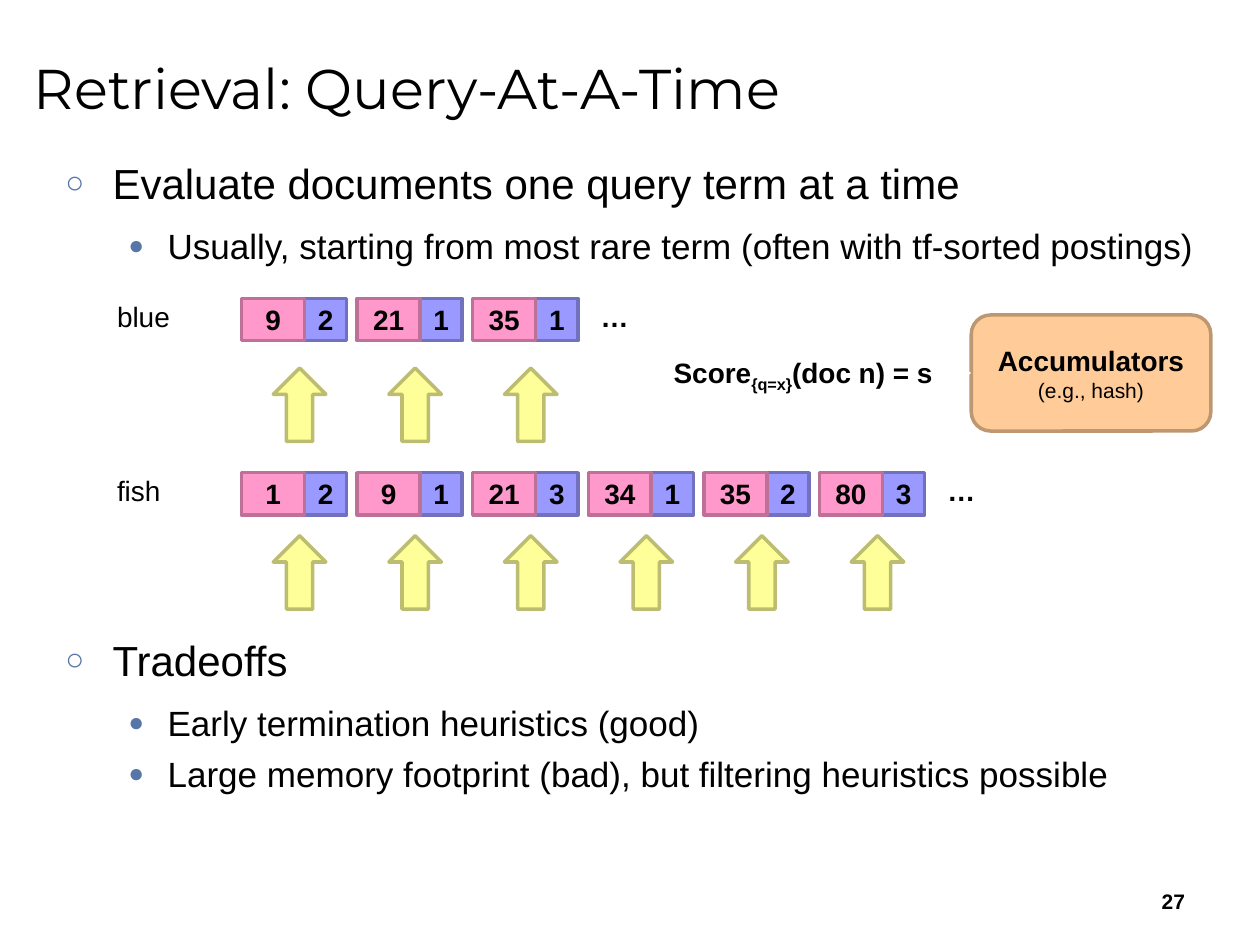
from lxml import etree
from pptx import Presentation
from pptx.dml.color import RGBColor
from pptx.enum import shapes, text
from pptx.oxml.ns import qn
from pptx.util import Cm, Pt

# Content
TITLE = "Retrieval: Query-At-A-Time"
BULLETS = [  # top in cm, then (level, wording)
    (3.05, [(0, "Evaluate documents one query term at a time"),
            (1, "Usually, starting from most rare term (often with tf-sorted postings)")]),
    (12.67, [(0, "Tradeoffs"),
             (1, "Early termination heuristics (good)"),
             (1, "Large memory footprint (bad), but filtering heuristics possible")]),
]
POSTINGS = [  # term, row top, arrow top, (document, frequency)
    ("fish", 9.53, 10.8, [(1, 2), (9, 1), (21, 3), (34, 1), (35, 2), (80, 3)]),
    ("blue", 6.02, 7.42, [(9, 2), (21, 1), (35, 1)]),
]
SCORE = [("Score", None), ("{q=x}", -25000), ("(doc n) = s", None)]
PAGE = "27"

# Style
COLORS = {"text": "000000", "bullet": "5675A9", "connector": "FFFFFF",
          "document": "FF99CC", "document line": "BD7197",
          "frequency": "9999FF", "frequency line": "7171BD",
          "arrow": "FFFF99", "arrow line": "BDBD71",
          "accumulators": "FFCC99", "accumulators line": "BD9771"}
LEVELS = [  # bullet, size, margin, hanging indent, space before, space after
    ("○", 24, 0.95, 0.95, 0, 7),
    ("●", 20, 2.06, 0.79, 2.5, 2.5),
]
ROW_LEFT, PITCH = 4.87, 2.33
DOCUMENT_WIDTH, CELL = 1.27, 0.85
ARROW_WIDTH, ARROW_HEIGHT, ARROW_OFFSET = 1.06, 1.48, 0.64
ALIGN, ANCHOR, SHAPE = text.PP_ALIGN, text.MSO_ANCHOR, shapes.MSO_SHAPE


def color(name):
    return RGBColor.from_string(COLORS[name])


def add_run(paragraph, wording, size, bold=False, font="Arial"):
    run = paragraph.add_run()
    run.text = wording
    run.font.size, run.font.bold, run.font.name = Pt(size), bold, font
    run.font.color.rgb = color("text")
    return run


def add_text(parent, box, align=ALIGN.LEFT, anchor=ANCHOR.TOP):
    shape = parent.add_textbox(*map(Cm, box))
    shape.text_frame.word_wrap = True
    shape.text_frame.vertical_anchor = anchor
    paragraph = shape.text_frame.paragraphs[0]
    paragraph.alignment = align
    return shape, paragraph


def add_box(parent, kind, box, name):
    shape = parent.add_shape(kind, *map(Cm, box))
    shape.shadow.inherit = False
    shape.fill.solid()
    shape.fill.fore_color.rgb = color(name)
    shape.line.color.rgb = color(name + " line")
    shape.line.width = Pt(2)
    frame = shape.text_frame
    frame.margin_left = frame.margin_right = 0
    frame.vertical_anchor = ANCHOR.MIDDLE
    frame.paragraphs[0].alignment = ALIGN.CENTER
    return shape


def add_bullet(paragraph, level, wording):
    mark, size, margin, hanging, before, after = LEVELS[level]
    properties = paragraph._p.get_or_add_pPr()
    properties.set("marL", str(Cm(margin)))
    properties.set("indent", str(-Cm(hanging)))
    tint = etree.SubElement(properties, qn("a:buClr"))
    etree.SubElement(tint, qn("a:srgbClr"), val=COLORS["bullet"])
    etree.SubElement(properties, qn("a:buSzPct"), val="75000")
    etree.SubElement(properties, qn("a:buFont"), typeface="Arial")
    etree.SubElement(properties, qn("a:buChar"), char=mark)
    paragraph.level = level
    paragraph.space_before, paragraph.space_after = Pt(before), Pt(after)
    add_run(paragraph, wording, size)


def add_postings(slide, term, top, arrow_top, postings):
    label = add_text(slide.shapes, (2.11, top - 0.1, 2.4, 0.94))[1]
    add_run(label, term, 16)
    row = slide.shapes.add_group_shape().shapes
    lefts = [ROW_LEFT + PITCH * i for i in range(len(postings) + 1)]
    for column, name, offset, width in ((1, "frequency", DOCUMENT_WIDTH, CELL),
                                        (0, "document", 0, DOCUMENT_WIDTH)):
        for left, posting in zip(lefts, postings):
            cell = add_box(row, SHAPE.RECTANGLE, (left + offset, top, width, CELL), name)
            add_run(cell.text_frame.paragraphs[0], str(posting[column]), 16, True)
    ellipsis = add_text(row, (lefts[-1], top - 0.1, 1.2, 0.94))[1]
    add_run(ellipsis, "…", 16, True)
    for left in lefts[:-1]:
        add_box(slide.shapes, SHAPE.UP_ARROW,
                (left + ARROW_OFFSET, arrow_top, ARROW_WIDTH, ARROW_HEIGHT), "arrow")


def main():
    presentation = Presentation()
    presentation.slide_width, presentation.slide_height = Cm(25.4), Cm(19.05)
    slide = presentation.slides.add_slide(presentation.slide_layouts[5])

    # Title
    title = slide.shapes.title
    title.left, title.top, title.width, title.height = map(Cm, (0.43, 0.33, 24.13, 2.84))
    title.text_frame.vertical_anchor = ANCHOR.MIDDLE
    heading = title.text_frame.paragraphs[0]
    heading.alignment = ALIGN.LEFT
    add_run(heading, TITLE, 32, font="Montserrat")

    # Bullet lists
    for top, items in BULLETS:
        box, paragraph = add_text(slide.shapes, (1.07, top, 23.5, 1.2 * len(items)))
        for i, (level, wording) in enumerate(items):
            if i:
                paragraph = box.text_frame.add_paragraph()
            add_bullet(paragraph, level, wording)

    # Posting lists with their arrows
    for postings in POSTINGS:
        add_postings(slide, *postings)

    # Score feeding the accumulators
    accumulators = add_box(slide.shapes, SHAPE.ROUNDED_RECTANGLE,
                           (19.58, 6.35, 4.83, 2.34), "accumulators")
    paragraph = accumulators.text_frame.paragraphs[0]
    add_run(paragraph, "Accumulators", 16, True)
    paragraph.add_line_break()
    add_run(paragraph, "(e.g., hash)", 12)
    score, paragraph = add_text(slide.shapes, (13.13, 7.05, 5.92, 0.94), ALIGN.RIGHT)
    for wording, baseline in SCORE:
        run = add_run(paragraph, wording, 16, True)
        if baseline:
            run.font._element.set("baseline", str(baseline))
    connector = slide.shapes.add_connector(shapes.MSO_CONNECTOR.STRAIGHT, 0, 0, 0, 0)
    connector.begin_connect(score, 3)
    connector.end_connect(accumulators, 1)
    connector.line.color.rgb = color("connector")
    connector.line.width = Pt(1.75)
    etree.SubElement(connector.line._get_or_add_ln(), qn("a:tailEnd"), type="arrow")
    etree.SubElement(connector._element.spPr, qn("a:effectLst"))

    # Page number
    page = add_text(slide.shapes, (18.21, 17.65, 5.93, 1.02), ALIGN.RIGHT, ANCHOR.MIDDLE)[1]
    add_run(page, PAGE, 12, True)

    presentation.save("out.pptx")


if __name__ == "__main__":
    main()
